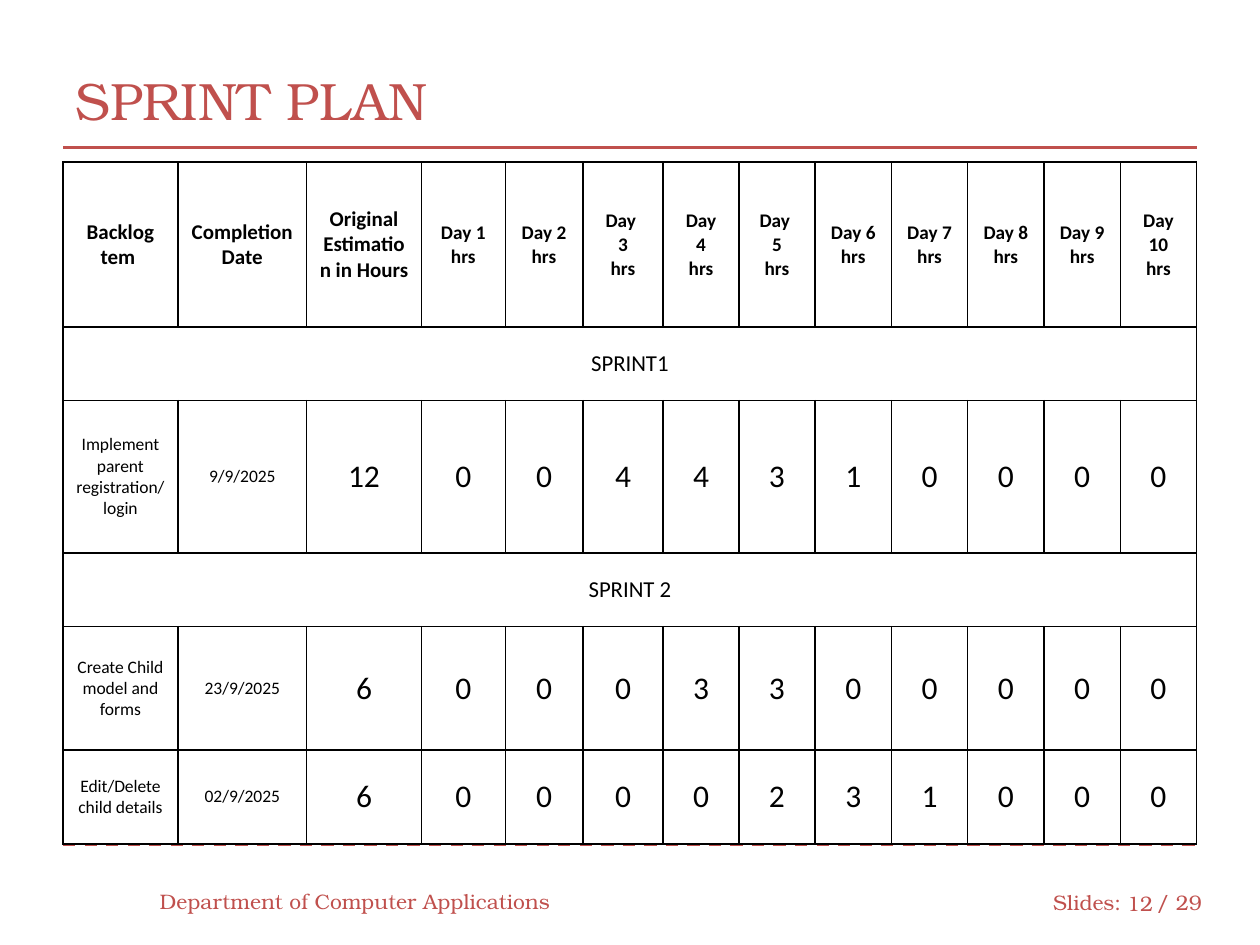
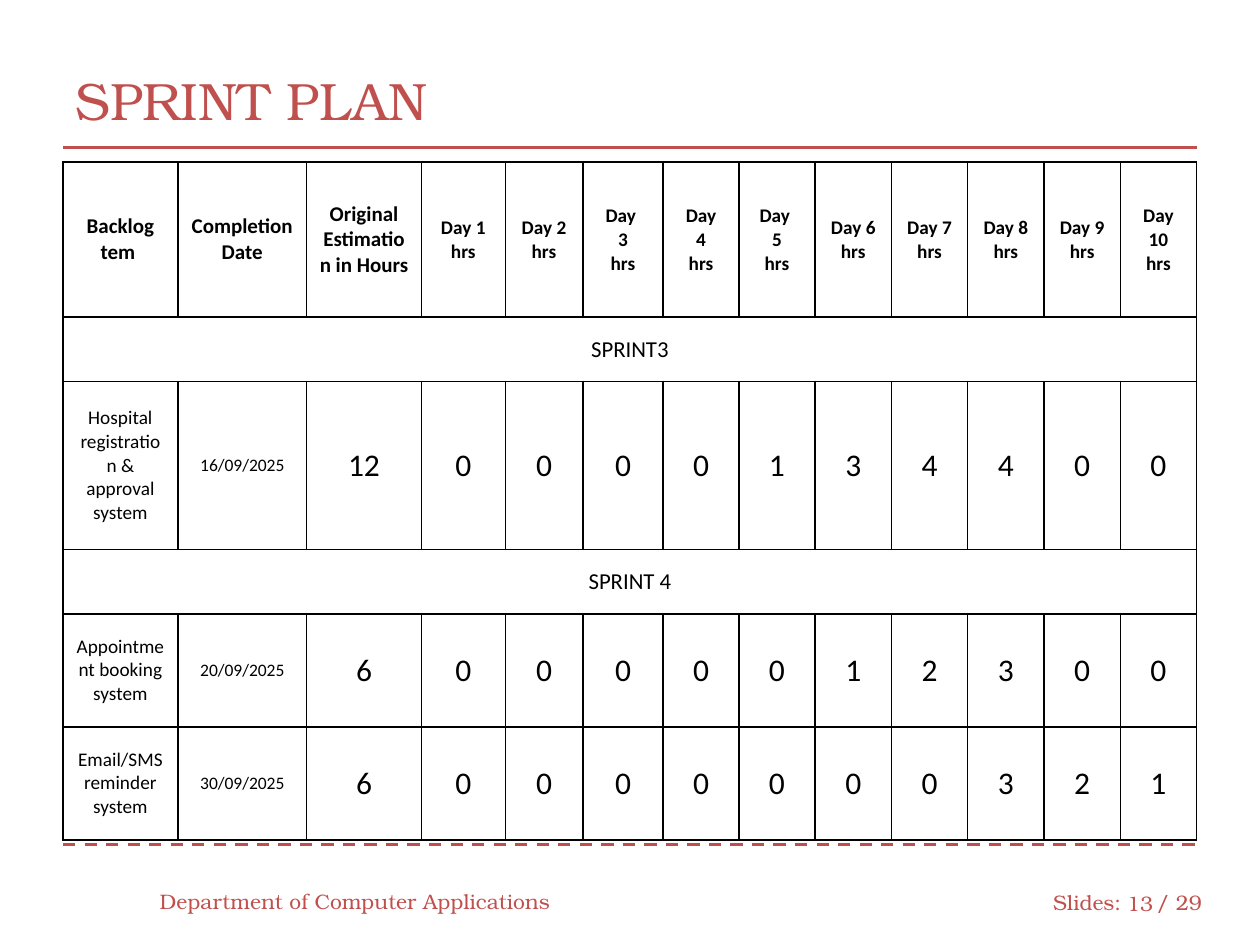
import pptx
import pptx.util
import pptx.dml.color
import pptx.enum.dml
import pptx.enum.shapes
import pptx.enum.text
import pptx.oxml
import pptx.oxml.ns

Pt = pptx.util.Pt
ALIGN = pptx.enum.text.PP_ALIGN
MIDDLE = pptx.enum.text.MSO_ANCHOR.MIDDLE

HEADS = [
    "Backlog tem ", "Completion Date", "Original Estimation in Hours ",
    "Day 1\nhrs", "Day 2\nhrs", "Day \n3\nhrs", "Day\n4\nhrs", "Day \n5\nhrs",
    *(f"Day {day}\nhrs" for day in range(6, 11)),
]
WIDTHS = [65.6, 73.7, 65.5, 48, 44.3, 46, 43.2] + [43.6] * 6

# Each plan: page, size of item text, row heights, rows under the heads.
# A row with one entry is a band across the whole table.
PLANS = [
    (12, 10, [94.3, 42, 87.1, 42, 70.6, 53.7], [
        ["SPRINT1"],
        ["Implement parent registration/login", "9/9/2025",
         12, 0, 0, 4, 4, 3, 1, 0, 0, 0, 0],
        ["SPRINT 2"],
        ["Create Child model and forms", "23/9/2025",
         6, 0, 0, 0, 3, 3, 0, 0, 0, 0, 0],
        ["Edit/Delete child details", "02/9/2025",
         6, 0, 0, 0, 0, 2, 3, 1, 0, 0, 0],
    ]),
    (13, 11, [88.5, 36.8, 96, 36.8, 64.6, 64.6], [
        ["SPRINT3"],
        ["Hospital registration & approval system", "16/09/2025",
         12, 0, 0, 0, 0, 1, 3, 4, 4, 0, 0],
        ["SPRINT 4"],
        ["Appointment booking system", "20/09/2025",
         6, 0, 0, 0, 0, 0, 1, 2, 3, 0, 0],
        ["Email/SMS reminder system", "30/09/2025",
         6, 0, 0, 0, 0, 0, 0, 0, 3, 2, 1],
    ]),
]


def color(code):
    return pptx.dml.color.RGBColor.from_string(code)


def write(frame, text, font, size, ink, bold=False, align=ALIGN.LEFT):
    """Fill a text frame, one paragraph for each line of text."""
    frame.word_wrap = True
    for i, line in enumerate(text.split("\n")):
        para = frame.add_paragraph() if i else frame.paragraphs[0]
        para.alignment = align
        run = para.add_run()
        run.text = line
        run.font.name = font
        run.font.size = Pt(size)
        run.font.bold = bold
        run.font.color.rgb = color(ink)


def border(cell, ink, width):
    props = cell._tc.get_or_add_tcPr()
    for side in "LRTB":
        props.append(pptx.oxml.parse_xml(
            f'<a:ln{side} {pptx.oxml.ns.nsdecls("a")} w="{Pt(width)}">'
            f'<a:solidFill><a:srgbClr val="{ink}"/></a:solidFill></a:ln{side}>'))


class Deck:
    red, black, white = "C0504D", "000000", "FFFFFF"
    serif, sans = "TeX Gyre Bonum", "Calibri"
    left, right = 36, 684

    def __init__(self):
        self.prs = pptx.Presentation()
        self.prs.slide_width, self.prs.slide_height = Pt(720), Pt(540)
        self.slide = None

    def start(self, title, page):
        """Add a slide with its title, rules and footer."""
        self.slide = self.prs.slides.add_slide(self.prs.slide_layouts[5])
        self.rule(482.4, dash=True)
        self.rule(84.2)
        self.title(title)
        self.label("Slides:", 594.7, 501.1, 54)
        self.label("/ 29", 653.8, 501.1, 41.8)
        self.label("Department of Computer Applications", 84.2, 500.4, 240)
        self.label(str(page), 635.8, 501.8, 30.2, align=ALIGN.RIGHT)

    def title(self, text):
        shape = self.slide.shapes.title
        shape.left, shape.top = Pt(self.left), Pt(23.8)
        shape.width, shape.height = Pt(self.right - self.left), Pt(66.2)
        frame = shape.text_frame
        frame.auto_size = pptx.enum.text.MSO_AUTO_SIZE.NONE
        frame.vertical_anchor = MIDDLE
        write(frame, text, self.serif, 30, self.red)

    def label(self, text, x, y, width, align=ALIGN.LEFT):
        box = self.slide.shapes.add_textbox(Pt(x), Pt(y), Pt(width), Pt(28.8))
        box.text_frame.vertical_anchor = MIDDLE
        write(box.text_frame, text, self.serif, 12, self.red, align=align)

    def rule(self, y, dash=False):
        line = self.slide.shapes.add_connector(
            pptx.enum.shapes.MSO_CONNECTOR.STRAIGHT,
            Pt(self.left), Pt(y), Pt(self.right), Pt(y))
        line.line.color.rgb = color(self.red)
        line.line.width = Pt(1.75)
        if dash:
            line.line.dash_style = pptx.enum.dml.MSO_LINE.DASH
        line._element.spPr.append(pptx.oxml.parse_xml(
            f'<a:effectLst {pptx.oxml.ns.nsdecls("a")}/>'))

    def cell(self, cell, text, size, bold):
        border(cell, self.black, 1)
        cell.fill.solid()
        cell.fill.fore_color.rgb = color(self.white)
        cell.vertical_anchor = MIDDLE
        cell.margin_left = cell.margin_right = Pt(7.2)
        cell.margin_top = cell.margin_bottom = Pt(7.2)
        if text:
            write(cell.text_frame, text, self.sans, size, self.black,
                  bold=bold, align=ALIGN.CENTER)

    def plan(self, size, heights, rows):
        """Add the sprint table; size is that of the backlog items."""
        count = len(WIDTHS)
        table = self.slide.shapes.add_table(
            len(heights), count, Pt(self.left), Pt(92.7),
            Pt(sum(WIDTHS)), Pt(sum(heights))).table
        for col, width in zip(table.columns, WIDTHS):
            col.width = Pt(width)
        for row, height in zip(table.rows, heights):
            row.height = Pt(height)
        for r, row in enumerate([HEADS] + rows):
            band = len(row) == 1
            if r == 0:
                sizes = [12] * 3 + [11] * 10
            elif band:
                sizes = [13] * count
                table.cell(r, 0).merge(table.cell(r, count - 1))
            else:
                sizes = [size, 10] + [18] * 11
            texts = row + [""] * (count - len(row))
            for c, text in enumerate(texts):
                self.cell(table.cell(r, c), str(text), sizes[c], r == 0)


def main():
    deck = Deck()
    for page, size, heights, rows in PLANS:
        deck.start("SPRINT PLAN", page)
        deck.plan(size, heights, rows)
    deck.prs.save("out.pptx")


if __name__ == "__main__":
    main()
